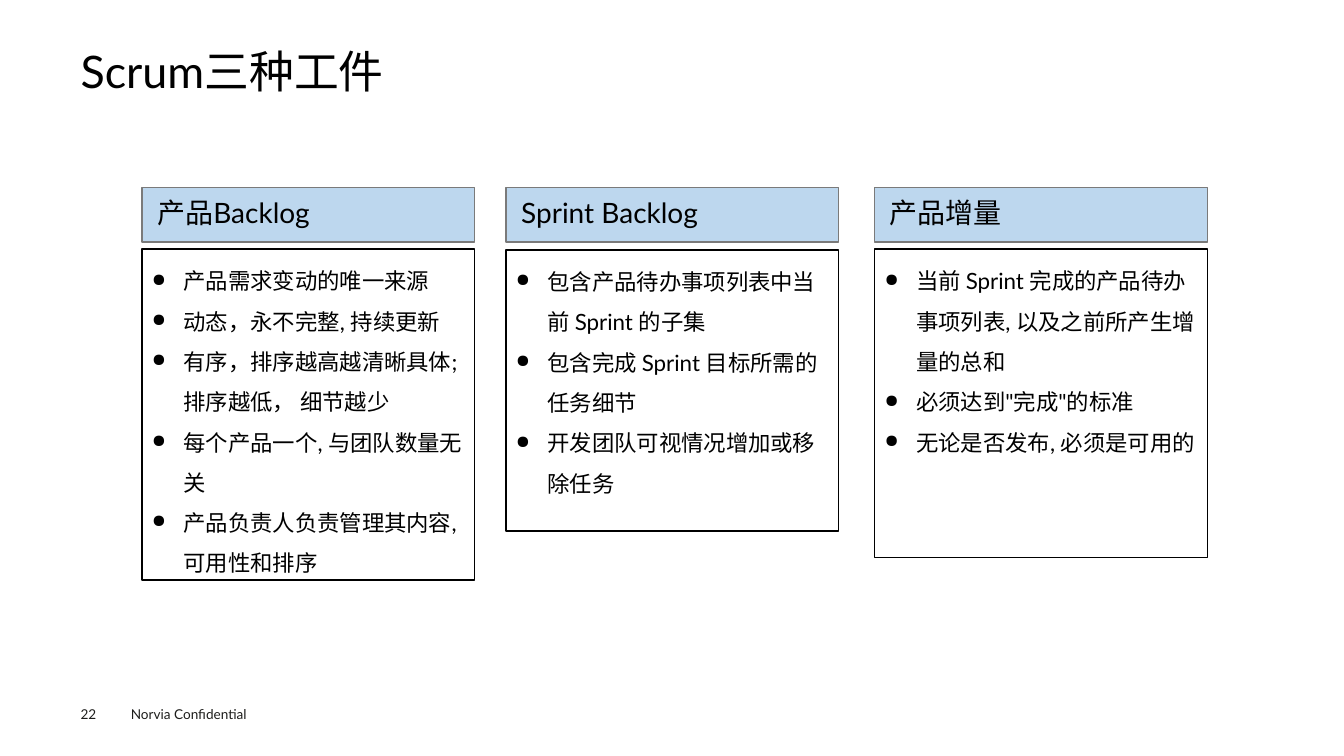
from dataclasses import dataclass

import lxml.etree
import pptx
import pptx.dml.color
import pptx.enum.shapes
import pptx.enum.text
import pptx.oxml.ns
import pptx.shapes.base
import pptx.slide
import pptx.text.text
import pptx.util

BLACK = pptx.dml.color.RGBColor(0x00, 0x00, 0x00)
WHITE = pptx.dml.color.RGBColor(0xFF, 0xFF, 0xFF)
HEADER_BLUE = pptx.dml.color.RGBColor(0xBD, 0xD7, 0xEE)
HEADER_BORDER = pptx.dml.color.RGBColor(0x7A, 0x7A, 0x7A)
FOOTER_GREY = pptx.dml.color.RGBColor(0x1D, 0x1D, 0x1B)

FONT = "Lato"
COLUMN_WIDTH = 237.6
HEADER_TOP = 133.9
HEADER_HEIGHT = 38.9
BULLET_INDENT = 22.5


@dataclass(frozen=True)
class Box:
    left: float
    top: float
    width: float
    height: float


@dataclass(frozen=True)
class Artifact:
    name: str
    left: float
    body_top: float
    body_height: float
    points: tuple[str, ...]


@dataclass(frozen=True)
class FooterItem:
    text: str
    box: Box
    inset_x: float
    inset_y: float


ARTIFACTS = (
    Artifact("产品Backlog", 101.5, 178, 236.2, (
        "产品需求变动的唯一来源",
        "动态，永不完整, 持续更新",
        "有序，排序越高越清晰具体; 排序越低， 细节越少",
        "每个产品一个, 与团队数量无关",
        "产品负责人负责管理其内容, 可用性和排序",
    )),
    Artifact("Sprint Backlog", 361.5, 178.5, 200.9, (
        "包含产品待办事项列表中当前 Sprint 的子集",
        "包含完成 Sprint 目标所需的任务细节",
        "开发团队可视情况增加或移除任务",
    )),
    Artifact("产品增量", 624.8, 178, 220.3, (
        "当前 Sprint 完成的产品待办事项列表, 以及之前所产生增量的总和",
        "必须达到\"完成\"的标准",
        "无论是否发布, 必须是可用的",
    )),
)

FOOTER_ITEMS = (
    FooterItem("Norvia Confidential", Box(86.4, 500.4, 115.2, 19.4), 7.2, 3.6),
    FooterItem("22", Box(57.6, 504, 39.6, 11.5), 0, 0),
)


def place(shape: pptx.shapes.base.BaseShape, box: Box) -> None:
    shape.left = pptx.util.Pt(box.left)
    shape.top = pptx.util.Pt(box.top)
    shape.width = pptx.util.Pt(box.width)
    shape.height = pptx.util.Pt(box.height)


def format_frame(
    text_frame: pptx.text.text.TextFrame,
    inset_x: float,
    inset_y: float,
    anchor: pptx.enum.text.MSO_ANCHOR = pptx.enum.text.MSO_ANCHOR.TOP,
) -> None:
    text_frame.word_wrap = True
    text_frame.auto_size = pptx.enum.text.MSO_AUTO_SIZE.NONE
    text_frame.vertical_anchor = anchor
    text_frame.margin_left = text_frame.margin_right = pptx.util.Pt(inset_x)
    text_frame.margin_top = text_frame.margin_bottom = pptx.util.Pt(inset_y)


def format_text(
    text_frame: pptx.text.text.TextFrame,
    size: float,
    color: pptx.dml.color.RGBColor = BLACK,
    line_spacing: float = 1.0,
) -> None:
    for paragraph in text_frame.paragraphs:
        paragraph.alignment = pptx.enum.text.PP_ALIGN.LEFT
        paragraph.line_spacing = line_spacing
        for run in paragraph.runs:
            run.font.name = FONT
            run.font.size = pptx.util.Pt(size)
            run.font.color.rgb = color


def add_bullet(paragraph: pptx.text.text._Paragraph) -> None:
    properties = paragraph._p.get_or_add_pPr()
    indent = pptx.util.Pt(BULLET_INDENT)
    properties.set("marL", str(indent))
    properties.set("indent", str(-indent))
    qualify = pptx.oxml.ns.qn
    lxml.etree.SubElement(properties, qualify("a:buSzPct")).set("val", "80000")
    lxml.etree.SubElement(properties, qualify("a:buChar")).set("char", "●")


def add_rectangle(
    slide: pptx.slide.Slide,
    box: Box,
    fill: pptx.dml.color.RGBColor,
    border: pptx.dml.color.RGBColor,
    text: str,
) -> pptx.text.text.TextFrame:
    shape = slide.shapes.add_shape(
        pptx.enum.shapes.MSO_SHAPE.RECTANGLE, 0, 0, 0, 0
    )
    place(shape, box)
    shape.shadow.inherit = False
    shape.fill.solid()
    shape.fill.fore_color.rgb = fill
    shape.line.color.rgb = border
    shape.line.width = pptx.util.Pt(1)
    shape.text_frame.text = text
    return shape.text_frame


def add_artifact(slide: pptx.slide.Slide, artifact: Artifact) -> None:
    header_box = Box(artifact.left, HEADER_TOP, COLUMN_WIDTH, HEADER_HEIGHT)
    header = add_rectangle(
        slide, header_box, HEADER_BLUE, HEADER_BORDER, artifact.name
    )
    format_frame(header, 10.8, 8.6, pptx.enum.text.MSO_ANCHOR.MIDDLE)
    format_text(header, 20, line_spacing=0.9)

    body_box = Box(
        artifact.left, artifact.body_top, COLUMN_WIDTH, artifact.body_height
    )
    body = add_rectangle(
        slide, body_box, WHITE, BLACK, "\n".join(artifact.points)
    )
    format_frame(body, 7.2, 3.6)
    for paragraph in body.paragraphs:
        add_bullet(paragraph)
    format_text(body, 16, line_spacing=1.5)


def add_footer_item(slide: pptx.slide.Slide, item: FooterItem) -> None:
    text_box = slide.shapes.add_textbox(0, 0, 0, 0)
    place(text_box, item.box)
    text_box.text_frame.text = item.text
    format_frame(text_box.text_frame, item.inset_x, item.inset_y)
    format_text(text_box.text_frame, 9.7, FOOTER_GREY)


def set_title(slide: pptx.slide.Slide, text: str) -> None:
    title = slide.shapes.title
    place(title, Box(57.6, 35.3, 844.6, 38.2))
    title.text_frame.text = text
    format_frame(title.text_frame, 0, 0)
    format_text(title.text_frame, 32, line_spacing=0.9)


def main() -> None:
    presentation = pptx.Presentation()
    presentation.slide_width = pptx.util.Pt(960)
    presentation.slide_height = pptx.util.Pt(540)
    title_only = presentation.slide_layouts.get_by_name("Title Only")
    slide = presentation.slides.add_slide(title_only)
    set_title(slide, "Scrum三种工件")
    for artifact in ARTIFACTS:
        add_artifact(slide, artifact)
    for item in FOOTER_ITEMS:
        add_footer_item(slide, item)
    presentation.save("out.pptx")


if __name__ == "__main__":
    main()
